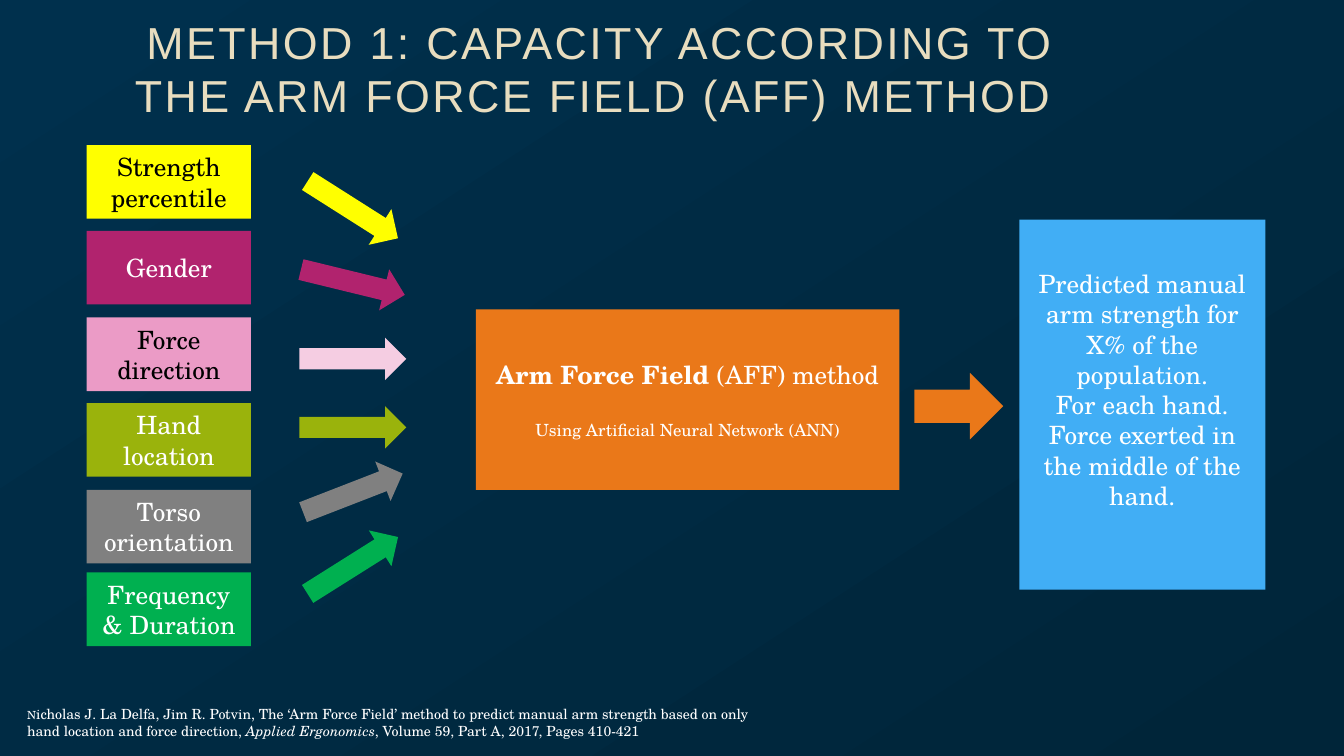
from pptx import Presentation
from pptx.dml.color import RGBColor
from pptx.enum.shapes import MSO_SHAPE
from pptx.enum.text import MSO_ANCHOR, PP_ALIGN
from pptx.util import Inches, Pt

RECTANGLE, ARROW = MSO_SHAPE.RECTANGLE, MSO_SHAPE.RIGHT_ARROW
MIDDLE, CENTER = MSO_ANCHOR.MIDDLE, PP_ALIGN.CENTER
SERIF = "TeX Gyre Schola"
WHITE, BLACK, ORANGE = "FFFFFF", "000000", "EA7819"


def color(hex_string):
    return RGBColor.from_string(hex_string)


def add_block(kind, left, top, width, height, fill, lines=(), text_color=WHITE):
    shape = slide.shapes.add_shape(
        kind, Inches(left), Inches(top), Inches(width), Inches(height))
    shape.shadow.inherit = False
    shape.fill.solid()
    shape.fill.fore_color.rgb = color(fill)
    shape.line.fill.background()
    frame = shape.text_frame
    frame.word_wrap = True
    frame.vertical_anchor = MIDDLE
    for index, line in enumerate(lines):
        paragraph = frame.paragraphs[0] if index == 0 else frame.add_paragraph()
        paragraph.text = line
        paragraph.alignment = CENTER
        paragraph.font.name = SERIF
        paragraph.font.size = Pt(18)
        paragraph.font.color.rgb = color(text_color)
    return shape


presentation = Presentation()
presentation.slide_width, presentation.slide_height = Inches(13.33), Inches(7.5)
slide = presentation.slides.add_slide(presentation.slide_layouts[6])

# Background gradient, lighter towards the top left
background = slide.background.fill
background.gradient()
background.gradient_angle = 123
for stop, position, shade in zip(background.gradient_stops, (0, 1), ("002539", "00304D")):
    stop.position = position
    stop.color.rgb = color(shade)

# Title
title = slide.shapes.add_textbox(Inches(1.08), Inches(0.11), Inches(9.75), Inches(1.19))
frame = title.text_frame
frame.word_wrap = True
frame.vertical_anchor = MIDDLE
frame.margin_left = frame.margin_right = frame.margin_top = 0
frame.margin_bottom = Inches(0.06)
paragraph = frame.paragraphs[0]
paragraph.alignment = CENTER
paragraph.line_spacing = Pt(38.5)
run = paragraph.add_run()
run.text = "METHOD 1: CAPACITY ACCORDING TO THE ARM FORCE FIELD (AFF) METHOD "
run.font.name = "Arial"
run.font.size = Pt(32)
run.font.color.rgb = color("E8DDBF")
run.font._element.set("spc", "170")

# Inputs, each with an arrow towards the method:
# label, box top, box colour, text colour, arrow top, arrow rotation, arrow colour
inputs = [
    ("Strength percentile", 1.44, "FFFF00", BLACK, 1.87, 32.4, "FFFF00"),
    ("Gender", 2.29, "B1236E", WHITE, 2.59, 13.7, "B1236E"),
    ("Force direction", 3.15, "EB9BC6", BLACK, 3.35, 0, "F5CDE2"),
    ("Hand location", 4, "9AB30C", WHITE, 4.03, 0, "9AB30C"),
    ("Torso orientation", 4.86, "808080", WHITE, 4.68, -21.2, "808080"),
    ("Frequency & Duration", 5.68, "00B050", WHITE, 5.4, -32.2, "00B050"),
]
for label, top, fill, text_color, arrow_top, rotation, arrow_fill in inputs:
    add_block(RECTANGLE, 0.86, top, 1.63, 0.73, fill, [label], text_color)
    arrow = add_block(ARROW, 2.97, arrow_top, 1.06, 0.42, arrow_fill)
    arrow.rotation = rotation

# Method
method = add_block(RECTANGLE, 4.72, 3.07, 4.2, 1.79, ORANGE,
                   ["", "Using Artificial Neural Network (ANN)"])
name, note = method.text_frame.paragraphs
for text, bold in (("Arm Force Field ", True), ("(AFF) method", False)):
    run = name.add_run()
    run.text = text
    run.font.bold = bold
note.font.size = Pt(12)
note.space_before = Pt(21.5)

# Result
add_block(ARROW, 9.07, 3.7, 0.88, 0.66, ORANGE)
result = add_block(RECTANGLE, 10.11, 2.18, 2.44, 3.67, "41AEF5", [
    "Predicted manual arm strength for X% of the population.",
    "For each hand.",
    "Force exerted in the middle of the hand.",
])
result.text_frame.margin_bottom = Inches(0.35)

# Reference
reference = slide.shapes.add_textbox(Inches(0.17), Inches(6.95), Inches(7.5), Inches(0.44))
reference.text_frame.word_wrap = True
paragraph = reference.text_frame.paragraphs[0]
paragraph.font.name = SERIF
paragraph.font.color.rgb = color(WHITE)
for text, size, italic in (
    ("N", 8, False),
    ("icholas J. La Delfa, Jim R. Potvin, The ‘Arm Force Field’ method to predict manual "
     "arm strength based on only hand location and force direction, ", 10, False),
    ("Applied Ergonomics", 10, True),
    (", Volume 59, Part A, 2017, Pages 410-421", 10, False),
):
    run = paragraph.add_run()
    run.text = text
    run.font.size = Pt(size)
    run.font.italic = italic

presentation.save("out.pptx")
